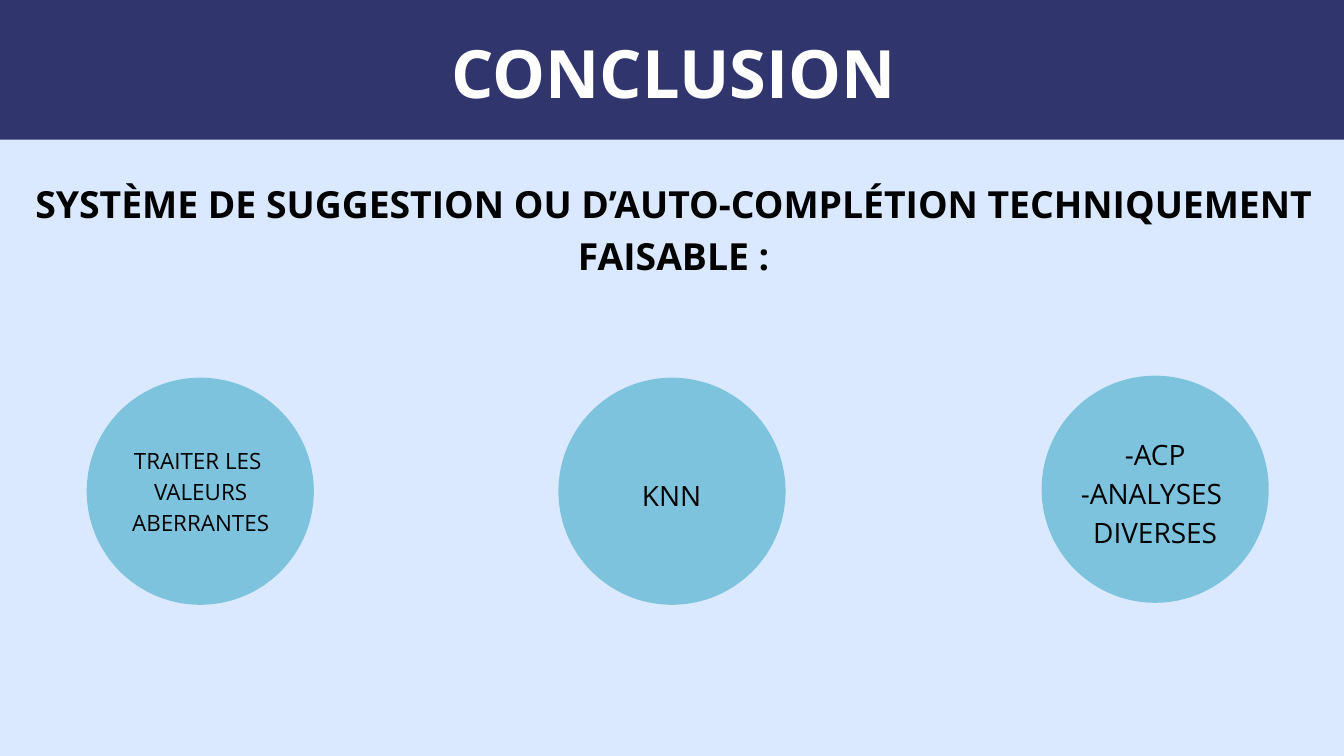
from dataclasses import dataclass

from pptx import Presentation
from pptx.dml.color import RGBColor
from pptx.enum.shapes import MSO_SHAPE as Preset
from pptx.enum.text import PP_ALIGN as Align
from pptx.slide import Slide
from pptx.util import Pt

PX = 9144  # EMU per px, 100 px to the inch
FONT = "Open Sans"
COLORS = {
    "background": "DAE9FF",
    "banner": "31356E",
    "circle": "7EC3DD",
    "title": "FFFFFF",
    "body": "000000",
}
DIAMETER = 338


@dataclass(frozen=True)
class Box:
    left: int
    top: int
    width: int
    height: int

    def emu(self) -> tuple[int, ...]:
        return tuple(n * PX for n in (self.left, self.top, self.width, self.height))


@dataclass(frozen=True)
class Wording:
    box: Box
    lines: tuple[str, ...]
    size: float
    spacing: float
    color: str = "body"
    bold: bool = False


@dataclass(frozen=True)
class Step:
    """A circle, given by its left and top, and the wording inside it."""
    left: int
    top: int
    wording: Wording


TITLE = Wording(Box(386, 71, 1233, 196), ("CONCLUSION",), 71.4, 68.5, "title", True)
STATEMENT = Wording(
    Box(5, 258, 1995, 151),
    ("SYSTÈME DE SUGGESTION OU D’AUTO-COMPLÉTION TECHNIQUEMENT FAISABLE :",),
    40, 56, bold=True,
)
STEPS = (
    Step(129, 562, Wording(Box(184, 658, 229, 140),
                           ("TRAITER LES ", "VALEURS", "ABERRANTES"), 24, 33.6)),
    Step(831, 562, Wording(Box(937, 704, 125, 55), ("KNN",), 30, 42)),
    Step(1550, 559, Wording(Box(1608, 642, 222, 173),
                            ("-ACP", "-ANALYSES ", "DIVERSES"), 30, 42)),
)


def rgb(name: str) -> RGBColor:
    return RGBColor.from_string(COLORS[name])


def draw_shape(slide: Slide, preset: Preset, box: Box, color: str) -> None:
    shape = slide.shapes.add_shape(preset, *box.emu())
    shape.shadow.inherit = False
    shape.fill.solid()
    shape.fill.fore_color.rgb = rgb(color)
    shape.line.fill.background()


def draw_wording(slide: Slide, wording: Wording) -> None:
    frame = slide.shapes.add_textbox(*wording.box.emu()).text_frame
    frame.word_wrap = True
    frame.margin_left = frame.margin_top = frame.margin_right = frame.margin_bottom = 0
    for index, line in enumerate(wording.lines):
        paragraph = frame.add_paragraph() if index else frame.paragraphs[0]
        paragraph.alignment = Align.CENTER
        paragraph.line_spacing = Pt(wording.spacing)
        run = paragraph.add_run()
        run.text = line
        run.font.name = FONT
        run.font.size = Pt(wording.size)
        run.font.bold = wording.bold
        run.font.color.rgb = rgb(wording.color)


def main() -> None:
    deck = Presentation()
    deck.slide_width, deck.slide_height = 2000 * PX, 1125 * PX
    slide = deck.slides.add_slide(deck.slide_layouts[6])
    slide.background.fill.solid()
    slide.background.fill.fore_color.rgb = rgb("background")

    draw_shape(slide, Preset.RECTANGLE, Box(-40, -68, 2158, 276), "banner")
    draw_wording(slide, TITLE)
    draw_wording(slide, STATEMENT)
    for step in STEPS:
        circle = Box(step.left, step.top, DIAMETER, DIAMETER)
        draw_shape(slide, Preset.OVAL, circle, "circle")
        draw_wording(slide, step.wording)
    deck.save("out.pptx")


if __name__ == "__main__":
    main()
